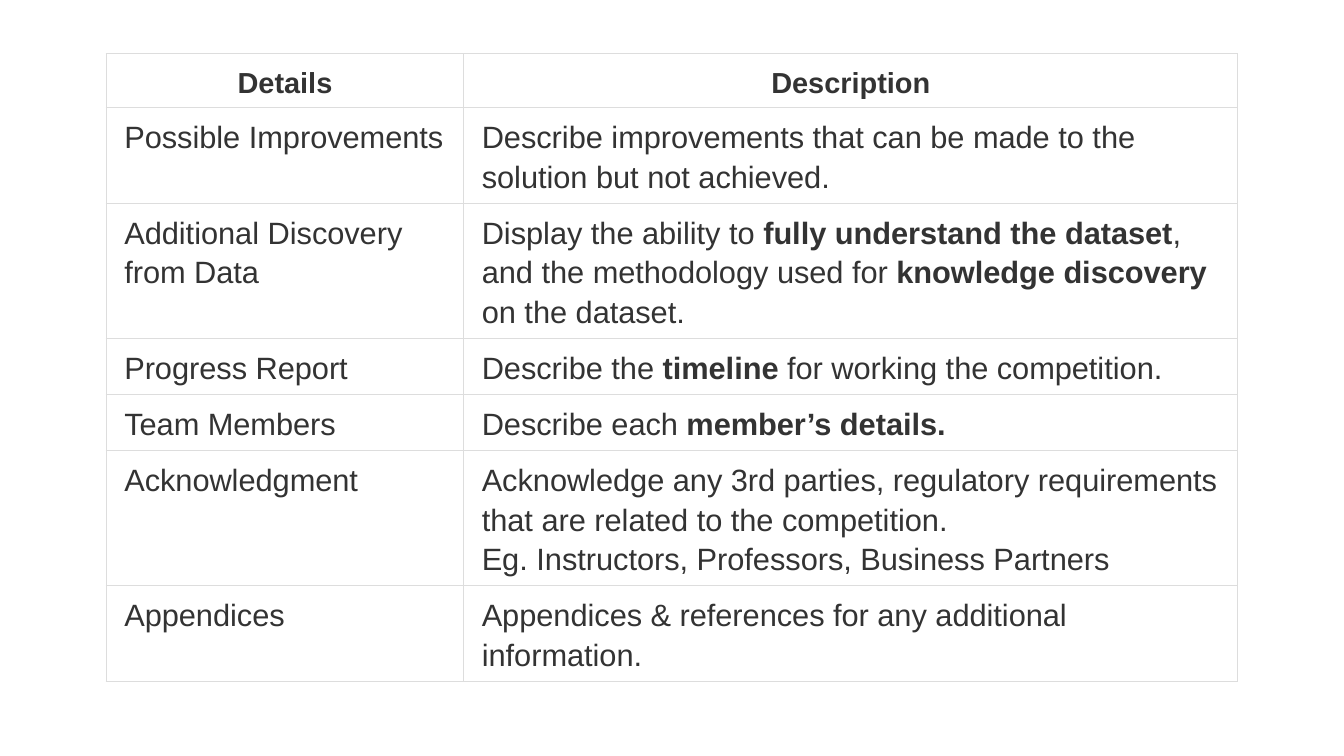
from dataclasses import dataclass

from lxml.etree import SubElement
from pptx import Presentation
from pptx.dml.color import RGBColor
from pptx.enum.text import MSO_ANCHOR, PP_ALIGN
from pptx.oxml.ns import qn
from pptx.util import Inches, Pt


@dataclass(frozen=True)
class Theme:
    """Colours are RRGGBB; sizes, line widths and cell padding are points."""
    font: str = "Arial"
    text: str = "333333"
    fill: str = "FFFFFF"
    border: str = "DDDDDD"
    border_width: float = 0.75
    header_size: float = 15.5
    body_size: float = 16.5
    line_spacing: float = 1.15
    pad_x: float = 9.75
    pad_y: float = 4.5


HEADER = ("Details", "Description")
# Text between ** marks is bold; a line break starts a new paragraph.
ROWS = [
    ("Possible Improvements",
     "Describe improvements that can be made to the solution but not achieved."),
    ("Additional Discovery from Data",
     "Display the ability to **fully understand the dataset**, and the "
     "methodology used for** knowledge discovery **on the dataset."),
    ("Progress Report", "Describe the **timeline** for working the competition."),
    ("Team Members", "Describe each **member’s details.**"),
    ("Acknowledgment",
     "Acknowledge any 3rd parties, regulatory requirements that are related "
     "to the competition.\nEg. Instructors, Professors, Business Partners"),
    ("Appendices", "Appendices & references for any additional information."),
]
COL_WIDTHS = (2.66, 5.76)
ROW_HEIGHTS = (0.31, 0.31, 0.45, 0.31, 0.31, 0.45, 0.31)


class SlideBuilder:
    def __init__(self, slide, theme):
        self.s = slide
        self.theme = theme

    def table(self, left, top, col_widths, row_heights, rows):
        frame = self.s.shapes.add_table(
            len(row_heights), len(col_widths), Inches(left), Inches(top),
            Inches(sum(col_widths)), Inches(sum(row_heights)))
        table = frame.table
        table.horz_banding = False
        for col, width in zip(table.columns, col_widths):
            col.width = Inches(width)
        for row, height in zip(table.rows, row_heights):
            row.height = Inches(height)
        for i, texts in enumerate(rows):
            for j, text in enumerate(texts):
                self.cell(table.cell(i, j), text, header=i == 0)

    def cell(self, cell, text, header):
        t = self.theme
        cell.margin_left = cell.margin_right = Pt(t.pad_x)
        cell.margin_top = cell.margin_bottom = Pt(t.pad_y)
        cell.vertical_anchor = MSO_ANCHOR.MIDDLE if header else MSO_ANCHOR.TOP
        self.borders(cell)
        cell.fill.solid()
        cell.fill.fore_color.rgb = RGBColor.from_string(t.fill)
        tf = cell.text_frame
        for i, line in enumerate(text.split("\n")):
            p = tf.add_paragraph() if i else tf.paragraphs[0]
            self.paragraph(p, line, header)

    def paragraph(self, p, line, header):
        t = self.theme
        p.alignment = PP_ALIGN.CENTER if header else PP_ALIGN.LEFT
        p.line_spacing = t.line_spacing
        p.font.name = t.font
        p.font.size = Pt(t.header_size if header else t.body_size)
        p.font.color.rgb = RGBColor.from_string(t.text)
        for i, part in enumerate(line.split("**")):
            if part:
                r = p.add_run()
                r.text = part
                r.font.bold = header or i % 2 == 1

    def borders(self, cell):
        """Line all four sides; call before filling, as lines precede the fill."""
        tc_pr = cell._tc.get_or_add_tcPr()
        for side in ("a:lnL", "a:lnR", "a:lnT", "a:lnB"):
            ln = SubElement(tc_pr, qn(side), w=str(Pt(self.theme.border_width)))
            fill = SubElement(ln, qn("a:solidFill"))
            SubElement(fill, qn("a:srgbClr"), val=self.theme.border)


def main():
    prs = Presentation()
    prs.slide_width = Inches(10)
    prs.slide_height = prs.slide_width * 9 // 16
    blank = prs.slide_layouts[6]
    builder = SlideBuilder(prs.slides.add_slide(blank), Theme())
    builder.table(0.79, 0.4, COL_WIDTHS, ROW_HEIGHTS, [HEADER, *ROWS])
    prs.save("out.pptx")


if __name__ == "__main__":
    main()
